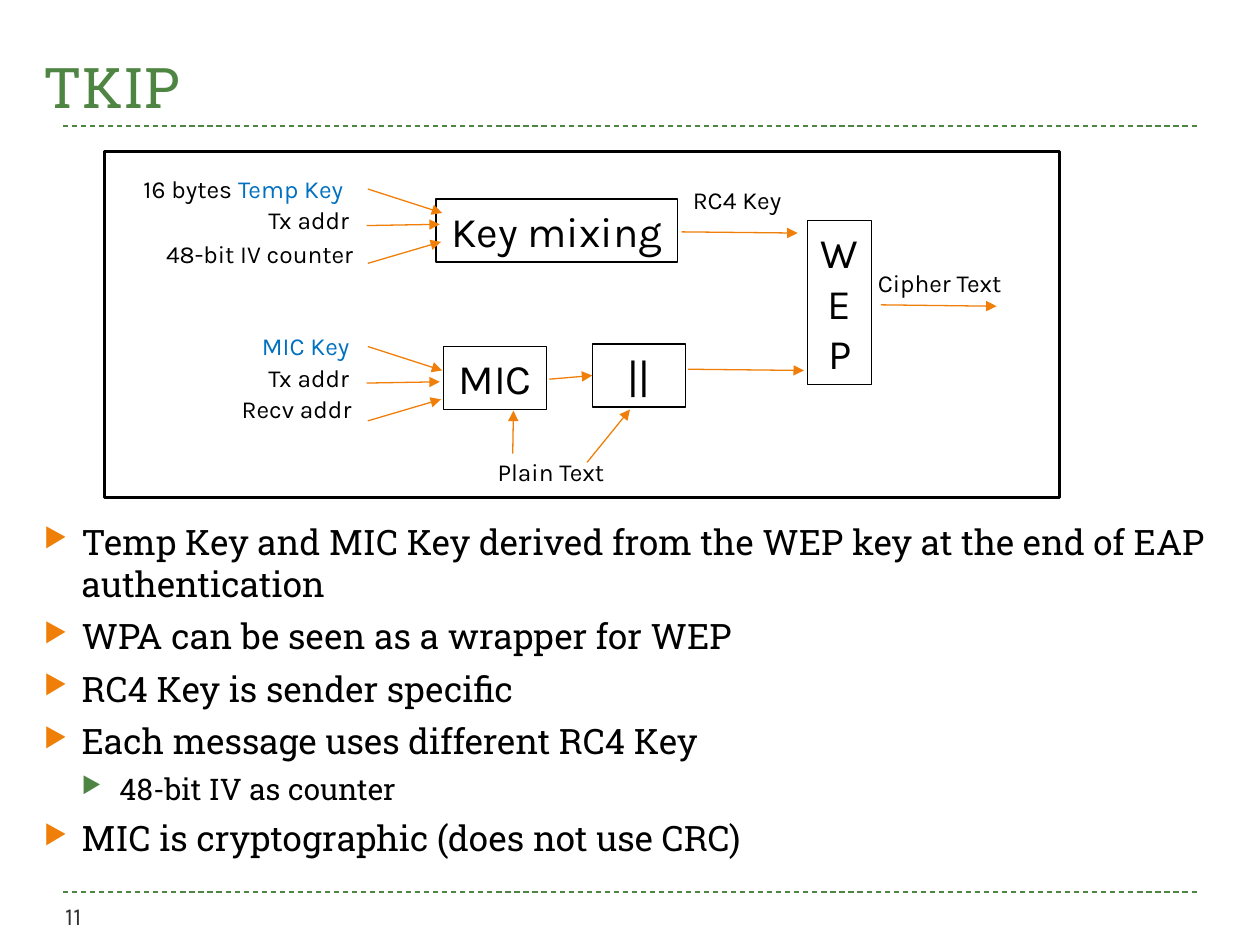
"""Build the TKIP slide with its key mixing diagram and bullet list."""
import lxml.etree
import pptx
import pptx.dml.color
import pptx.enum.dml
import pptx.enum.shapes
import pptx.enum.text
import pptx.oxml.ns
import pptx.util

Pt = pptx.util.Pt
RGB = pptx.dml.color.RGBColor
BLACK = RGB(0x00, 0x00, 0x00)
GREEN = RGB(0x4E, 0x85, 0x42)
ORANGE = RGB(0xF0, 0x7F, 0x09)
BLUE = RGB(0x00, 0x70, 0xC0)
GREY = RGB(0x32, 0x32, 0x32)
SLAB, KARLA = "Roboto Slab", "Karla"
FIT = {"word_wrap": False,
       "auto_size": pptx.enum.text.MSO_AUTO_SIZE.SHAPE_TO_FIT_TEXT}

RULES = (72, 509.8)
BOXES = {
    "WEP": ("W\vE\vP", 461.5, 126, 36.7, 93.6),
    "Mix": ("Key mixing", 249.1, 113.8, 138.2, 36),
    "MIC": ("MIC", 253.4, 198, 59, 36),
    "Join": ("||", 338.4, 196.6, 53.3, 36),
}
LABELS = [
    ([("16 bytes ", BLACK), ("Temp Key", BLUE)], 74.9, 95.8, 138.2),
    ([("Tx addr", BLACK)], 146.2, 113.8, 64.1),
    ([("48-bit IV counter", BLACK)], 87.8, 133.2, 123.8),
    ([("MIC Key", BLUE)], 142.6, 185.8, 67.7),
    ([("Tx addr", BLACK)], 146.2, 203.8, 64.1),
    ([("Recv addr", BLACK)], 131, 221.8, 79.2),
    ([("Plain Text", BLACK)], 277.2, 257.8, 78.5),
    ([("RC4 Key", BLACK)], 388.8, 102.2, 67),
    ([("Cipher Text", BLACK)], 494.6, 149.8, 89.3),
]
INPUTS = [(210.2, 108, 252.7, 121.7), (209.5, 128.9, 251.3, 128.2),
          (210.2, 150.5, 252, 138.2)]
STEP = 90
FLOWS = [(293, 259.2, 293.4, 234.7), (335.5, 264.2, 360, 234),
         (393.1, 211, 459.4, 211.7), (389.5, 132.5, 455.8, 133.2),
         (503.3, 174.2, 569.5, 175)]
POINTS = [
    (0, "Temp Key and MIC Key derived from the WEP key at the end of EAP "
        "authentication"),
    (0, "WPA can be seen as a wrapper for WEP"),
    (0, "RC4 Key is sender specific"),
    (0, "Each message uses different RC4 Key"),
    (1, "48-bit IV as counter"),
    (0, "MIC is cryptographic (does not use CRC)"),
]
LEVELS = [(20, 6, ORANGE), (17, 5, GREEN)]


def style(item, form):
    """Set each format value on the item."""
    for name, val in form.items():
        setattr(item, name, val)


def ink(font, size, face, color):
    """Set the size, typeface and colour of a font."""
    style(font, {"size": Pt(size), "name": face})
    font.color.rgb = color


def child(node, tag, **attrs):
    """Append a drawing element to a node."""
    return lxml.etree.SubElement(node, pptx.oxml.ns.qn(tag), attrs)


def add_text(slide, runs, area, size, face, form):
    """Add a text box whose runs are pairs of words and colour."""
    frame = slide.shapes.add_textbox(*map(Pt, area)).text_frame
    style(frame, form)
    for words, color in runs:
        run = frame.paragraphs[0].add_run()
        run.text = words
        ink(run.font, size, face, color)


def add_box(slide, area, width):
    """Add an unfilled rectangle with a black outline."""
    kind = pptx.enum.shapes.MSO_SHAPE.RECTANGLE
    box = slide.shapes.add_shape(kind, *map(Pt, area))
    box.shadow.inherit = False
    box.fill.background()
    box.line.color.rgb = BLACK
    box.line.width = Pt(width)
    return box


def add_node(slide, words, *area):
    """Add a box of the diagram with its centred name."""
    box = add_box(slide, area, 0.75)
    style(box.text_frame, FIT)
    para = box.text_frame.paragraphs[0]
    para.text = words
    para.alignment = pptx.enum.text.PP_ALIGN.CENTER
    ink(para.font, 24, KARLA, BLACK)
    return box


def add_line(slide, ends, color):
    """Add a thin straight line without shadow."""
    kind = pptx.enum.shapes.MSO_CONNECTOR.STRAIGHT
    line = slide.shapes.add_connector(kind, *map(Pt, ends))
    line.line.color.rgb = color
    line.line.width = Pt(0.75)
    child(line._element.spPr, "a:effectLst")
    return line


def add_arrow(slide, ends):
    """Add an orange arrow."""
    line = add_line(slide, ends, ORANGE)
    child(line.line._get_or_add_ln(), "a:tailEnd", type="triangle")
    return line


def add_list(slide):
    """Add the bullet list below the diagram."""
    frame = slide.shapes.add_textbox(*map(Pt, (18, 293.8, 684, 210))).text_frame
    frame.word_wrap = True
    for num, (level, words) in enumerate(POINTS):
        size, gap, color = LEVELS[level]
        para = frame.add_paragraph() if num else frame.paragraphs[0]
        props = para._p.get_or_add_pPr()
        props.set("marL", str(Pt(21.6 * (level + 1))))
        props.set("indent", str(Pt(-21.6)))
        child(child(props, "a:buClr"), "a:srgbClr", val=str(color))
        child(props, "a:buSzPct", val="76000")
        child(props, "a:buChar", char="▶")
        style(para, {"text": words, "level": level,
                     "space_before": Pt(gap if num else 0)})
        ink(para.font, size, SLAB, BLACK)


def main():
    """Build and save the slide."""
    deck = pptx.Presentation()
    style(deck, {"slide_width": Pt(720), "slide_height": Pt(540)})
    slide = deck.slides.add_slide(deck.slide_layouts[6])
    for y in RULES:
        rule = add_line(slide, (36, y, 684, y), GREEN)
        rule.line.dash_style = pptx.enum.dml.MSO_LINE.DASH
    bottom = pptx.enum.text.MSO_ANCHOR.BOTTOM
    add_text(slide, [("TKIP", GREEN)], (18, 12.2, 684, 59.8), 32, SLAB,
             {"word_wrap": True, "vertical_anchor": bottom})
    add_list(slide)
    add_text(slide, [("11", GREY)], (30.2, 511.2, 68.4, 23), 14, KARLA,
             {"word_wrap": True})
    nodes = {name: add_node(slide, *spec) for name, spec in BOXES.items()}
    for runs, left, top, width in LABELS:
        add_text(slide, runs, (left, top, width, 24.2), 14, KARLA, FIT)
    for drop in (0, STEP):
        for x1, y1, x2, y2 in INPUTS:
            add_arrow(slide, (x1, y1 + drop, x2, y2 + drop))
    for ends in FLOWS:
        add_arrow(slide, ends)
    link = add_arrow(slide, (313.9, 216.7, 338.4, 214.6))
    link.end_connect(nodes["Join"], 1)
    add_box(slide, (59.8, 86.4, 545.8, 198), 1.5)
    deck.save("out.pptx")


if __name__ == "__main__":
    main()
